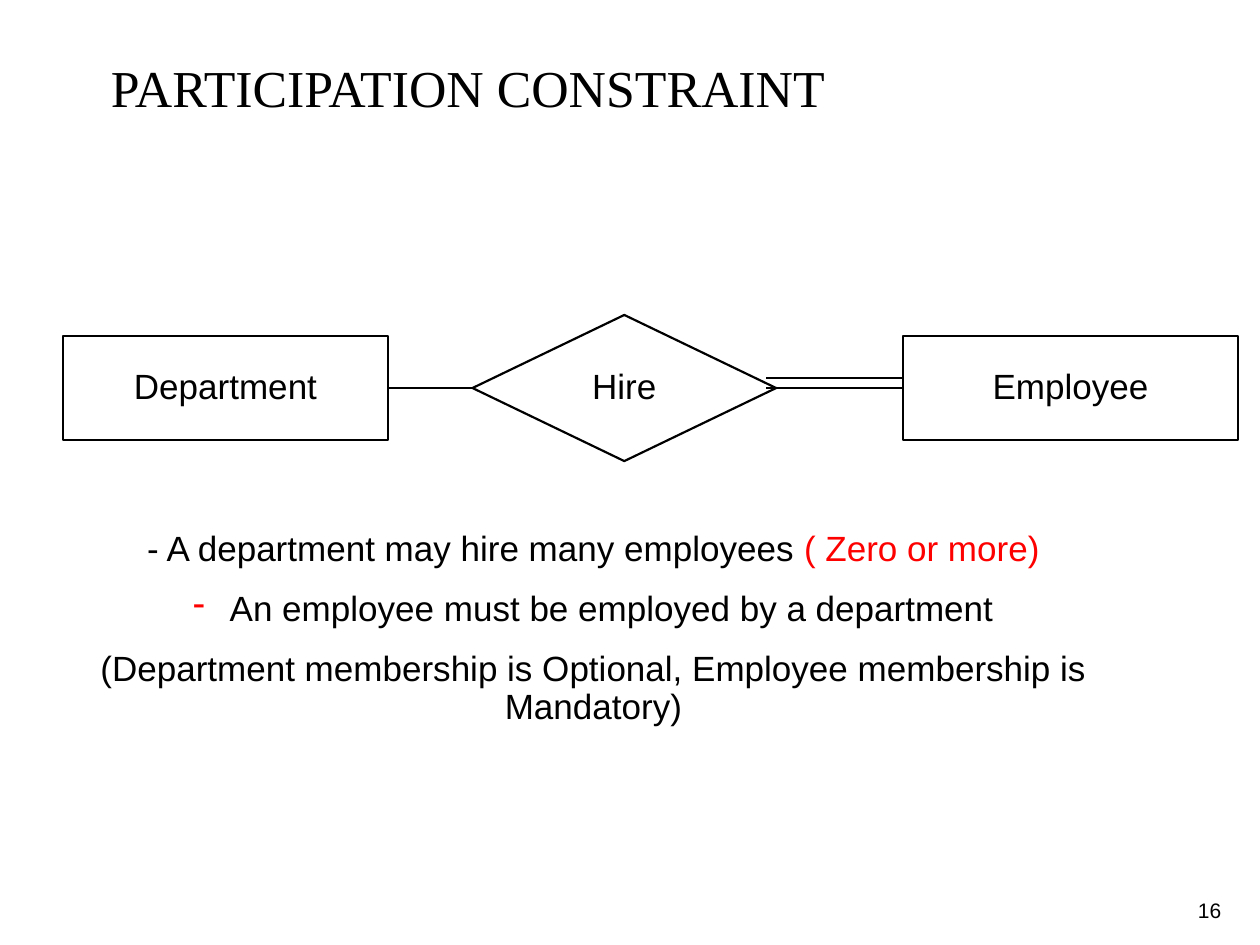
from lxml.etree import SubElement
from pptx import Presentation
from pptx.dml.color import RGBColor
from pptx.enum.shapes import MSO_CONNECTOR, MSO_SHAPE
from pptx.enum.text import MSO_ANCHOR, PP_ALIGN
from pptx.oxml.ns import qn
from pptx.util import Inches, Pt

COLORS = {"ink": "000000", "accent": "FD0000"}
GRID = 12
AXIS = 3.08
LINE_WIDTH = 1.25


def column(number):
    """Return the left edge of a grid column in inches."""
    return number * 10 / GRID


def color(name):
    """Return a named colour."""
    return RGBColor.from_string(COLORS[name])


def format_paragraph(paragraph, size=20, font="Arial", align=PP_ALIGN.CENTER, before=0):
    """Apply the shared spacing and font to a paragraph."""
    paragraph.alignment = align
    paragraph.line_spacing = 0.9
    paragraph.space_before = Pt(before)
    for run in paragraph.runs:
        run.font.size = Pt(size)
        run.font.name = font
        run.font.color.rgb = color("ink")


def add_text(slide, box, lines, margins=(0.1, 0.05), **style):
    """Add a wrapped text box with one paragraph per line."""
    text_frame = slide.shapes.add_textbox(*map(Inches, box)).text_frame
    text_frame.word_wrap = True
    text_frame.margin_left = text_frame.margin_right = Inches(margins[0])
    text_frame.margin_top = text_frame.margin_bottom = Inches(margins[1])
    text_frame.text = "\n".join(lines)
    for index, paragraph in enumerate(text_frame.paragraphs):
        format_paragraph(paragraph, before=12.5 if index else 0, **style)
    return text_frame


def add_dash_bullet(paragraph, indent=0.29):
    """Give a paragraph a coloured dash with a hanging indent."""
    properties = paragraph._p.get_or_add_pPr()
    properties.set("marL", str(Inches(indent)))
    properties.set("indent", str(-Inches(indent)))
    bullet_color = SubElement(properties, qn("a:buClr"))
    SubElement(bullet_color, qn("a:srgbClr"), val=COLORS["accent"])
    SubElement(properties, qn("a:buChar"), char="-")


def add_node(slide, kind, label, left, width, height):
    """Add an outlined diagram node centred on the axis."""
    box = (left, AXIS - height / 2, width, height)
    shape = slide.shapes.add_shape(kind, *map(Inches, box))
    shape.shadow.inherit = False
    shape.fill.background()
    shape.line.color.rgb = color("ink")
    shape.line.width = Pt(LINE_WIDTH)
    text_frame = shape.text_frame
    text_frame.word_wrap = False
    text_frame.vertical_anchor = MSO_ANCHOR.MIDDLE
    text_frame.text = label
    format_paragraph(text_frame.paragraphs[0])


def add_line(slide, start, end):
    """Add a straight line between two points."""
    connector = slide.shapes.add_connector(
        MSO_CONNECTOR.STRAIGHT, *map(Inches, (*start, *end)))
    connector.line.color.rgb = color("ink")
    connector.line.width = Pt(LINE_WIDTH)
    SubElement(connector._element.spPr, qn("a:effectLst"))


def add_diagram(slide):
    """Draw the entities, the relationship and the links between them."""
    department_left, department_width, entity_height = 0.5, 2.58, 0.83
    department_right = department_left + department_width
    hire_left, employee_left = column(4.5), column(8.6)
    add_node(slide, MSO_SHAPE.RECTANGLE, "Department",
             department_left, department_width, entity_height)
    add_line(slide, (department_right, AXIS - entity_height / 2),
             (department_right, AXIS + entity_height / 2))
    add_node(slide, MSO_SHAPE.FLOWCHART_DECISION, "Hire", hire_left, 2.41, 1.16)
    add_node(slide, MSO_SHAPE.RECTANGLE, "Employee",
             employee_left, 2.66, entity_height)
    add_line(slide, (department_right, AXIS), (hire_left, AXIS))
    for height in (AXIS - 0.08, AXIS):
        add_line(slide, (column(7.3), height), (employee_left, height))


def add_rules(slide):
    """Write the participation rules below the diagram."""
    text_frame = add_text(slide, (0.67, 4.17, 8.08, 1.65), [
        "- A department may hire many employees ",
        "An employee must be employed by a department",
        "(Department membership is Optional, Employee membership is Mandatory)",
    ])
    hiring, employment, _ = text_frame.paragraphs
    hiring.add_run().text = "( Zero or more)"
    format_paragraph(hiring)
    hiring.runs[-1].font.color.rgb = color("accent")
    add_dash_bullet(employment)


def main():
    """Build and save the slide."""
    presentation = Presentation()
    presentation.slide_width = Inches(10)
    presentation.slide_height = Inches(7.5)
    slide = presentation.slides.add_slide(presentation.slide_layouts[6])
    add_text(slide, (9.35, 7.1, 0.5, 0.28), ["16"], size=12)
    add_rules(slide)
    add_diagram(slide)
    add_text(slide, (0.88, 0.5, 8.29, 1.03), ["PARTICIPATION CONSTRAINT"],
             margins=(0, 0), size=29.6, font="Times New Roman", align=PP_ALIGN.LEFT)
    presentation.save("out.pptx")


if __name__ == "__main__":
    main()
